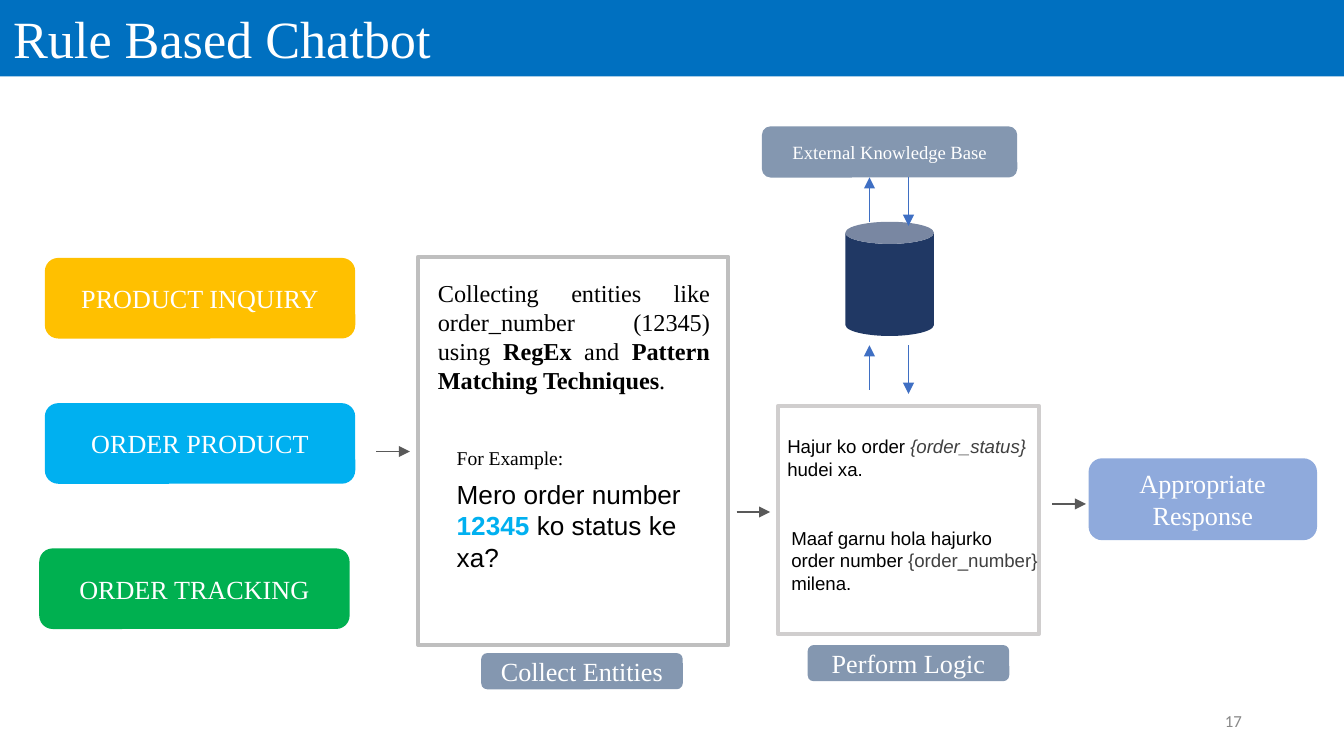
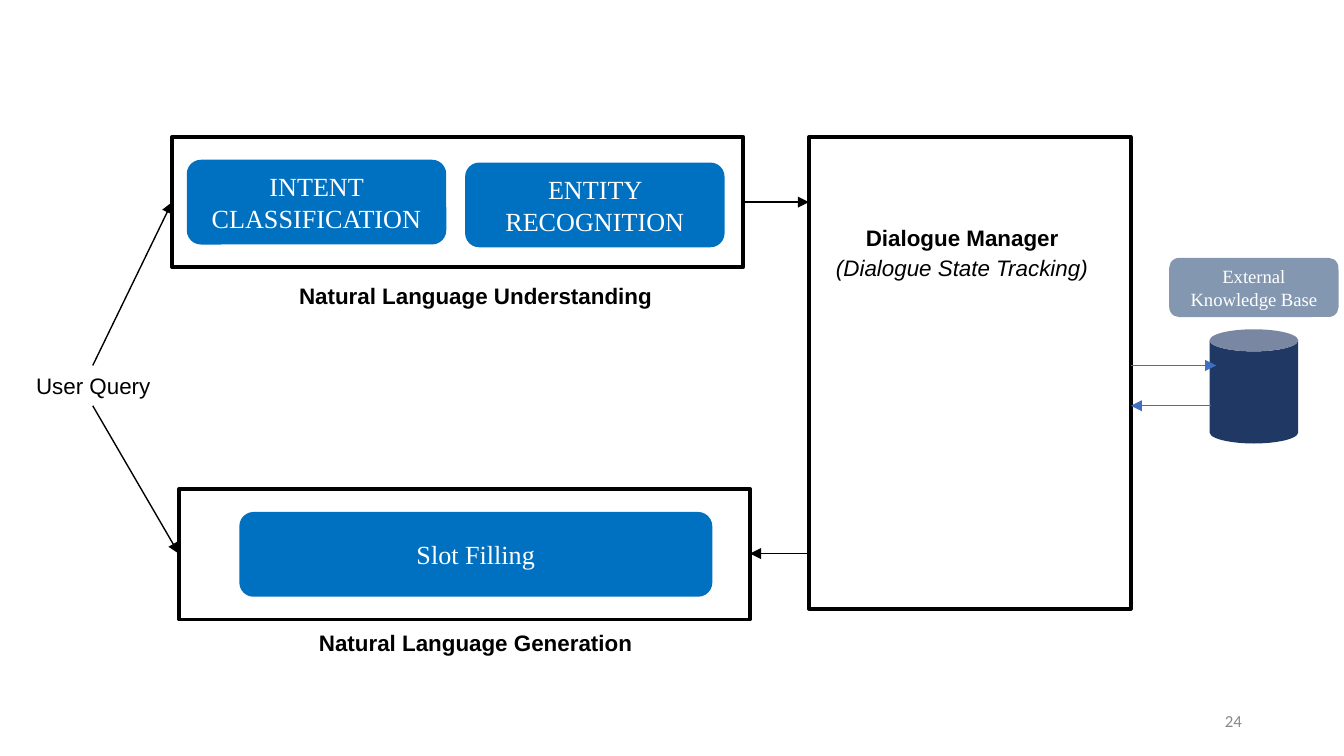
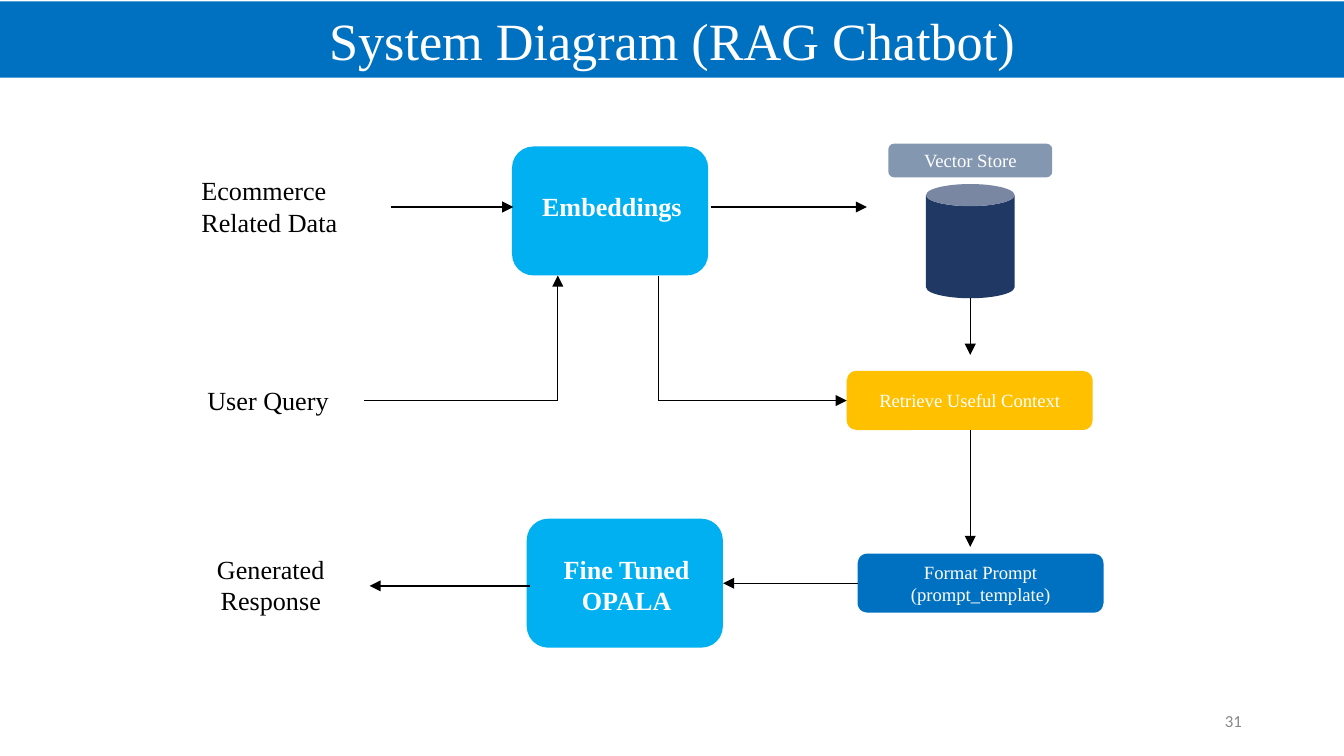
from dataclasses import dataclass

from lxml.etree import SubElement
from pptx import Presentation
from pptx.dml.color import RGBColor
from pptx.enum.shapes import MSO_CONNECTOR, MSO_SHAPE
from pptx.enum.text import MSO_ANCHOR, MSO_AUTO_SIZE, PP_ALIGN
from pptx.oxml.ns import qn
from pptx.util import Pt

WHITE = RGBColor(0xFF, 0xFF, 0xFF)
BLACK = RGBColor(0x00, 0x00, 0x00)
BLUE = RGBColor(0x00, 0x70, 0xC0)
SKY = RGBColor(0x00, 0xB0, 0xF0)
AMBER = RGBColor(0xFF, 0xC0, 0x00)
GREEN = RGBColor(0x00, 0xB0, 0x50)
SLATE = RGBColor(0x84, 0x97, 0xB0)
NAVY = RGBColor(0x20, 0x38, 0x64)
PERIWINKLE = RGBColor(0x8F, 0xAA, 0xDC)
STORE_BLUE = RGBColor(0x3F, 0x6F, 0xC3)
FLOW_GRAY = RGBColor(0x59, 0x59, 0x59)
SILVER = RGBColor(0xBF, 0xBF, 0xBF)
PALE_GRAY = RGBColor(0xD0, 0xCE, 0xCE)
DARK_GRAY = RGBColor(0x40, 0x40, 0x40)
NUMBER_GRAY = RGBColor(0x88, 0x88, 0x88)

SERIF = "Times New Roman"
SANS = "Arial"
CAN_WIDTH, CAN_HEIGHT = 47.5, 61.2


@dataclass
class Box:
    left: float
    top: float
    width: float
    height: float

    def inside(self, right, down, width, height):
        return Box(self.left + right, self.top + down, width, height)

    def frame(self):
        return [Pt(length) for length in (self.left, self.top, self.width, self.height)]


@dataclass
class Span:
    text: str
    bold: bool = False
    italic: bool = False
    color: RGBColor = None


def write(shape, lines, size, color, font=SERIF, align=PP_ALIGN.CENTER):
    frame = shape.text_frame
    frame.word_wrap = True
    for index, spans in enumerate(lines):
        para = frame.paragraphs[0] if index == 0 else frame.add_paragraph()
        para.alignment = align
        for span in spans:
            run = para.add_run()
            run.text = span.text
            run.font.name = font
            run.font.size = Pt(size)
            run.font.bold = span.bold
            run.font.italic = span.italic
            run.font.color.rgb = span.color or color


def add_text(page, box, lines, size, color=BLACK, font=SERIF, align=PP_ALIGN.CENTER):
    shape = page.shapes.add_textbox(*box.frame())
    write(shape, lines, size, color, font, align)
    shape.text_frame.auto_size = MSO_AUTO_SIZE.SHAPE_TO_FIT_TEXT


def add_solid(page, kind, box, fill):
    shape = page.shapes.add_shape(kind, *box.frame())
    shape.shadow.inherit = False
    shape.fill.solid()
    shape.fill.fore_color.rgb = fill
    shape.line.fill.background()
    return shape


def add_block(page, box, fill, *lines, size=14):
    shape = add_solid(page, MSO_SHAPE.ROUNDED_RECTANGLE, box, fill)
    shape.text_frame.vertical_anchor = MSO_ANCHOR.MIDDLE
    write(shape, [[Span(line)] for line in lines], size, WHITE)


def add_outline(page, box, color):
    shape = page.shapes.add_shape(MSO_SHAPE.RECTANGLE, *box.frame())
    shape.shadow.inherit = False
    shape.fill.background()
    shape.line.color.rgb = color
    shape.line.width = Pt(2)


def add_arrow(page, start, end, color=BLACK, head=True):
    ends = [Pt(length) for length in (*start, *end)]
    arrow = page.shapes.add_connector(MSO_CONNECTOR.STRAIGHT, *ends)
    arrow.line.color.rgb = color
    arrow.line.width = Pt(0.75)
    properties = arrow._element.spPr
    if head:
        SubElement(properties.find(qn("a:ln")), qn("a:tailEnd"), type="triangle")
    SubElement(properties, qn("a:effectLst"))


def add_title(page, box, title, align):
    band = add_solid(page, MSO_SHAPE.RECTANGLE, box, BLUE)
    band.text_frame.vertical_anchor = MSO_ANCHOR.TOP
    write(band, [[Span(title)]], 28, WHITE, align=align)
    band.text_frame.auto_size = MSO_AUTO_SIZE.SHAPE_TO_FIT_TEXT


def add_page_number(page, number):
    shape = page.shapes.add_textbox(*Box(508.3, 375.1, 162, 21.6).frame())
    frame = shape.text_frame
    frame.vertical_anchor = MSO_ANCHOR.MIDDLE
    frame.margin_left = frame.margin_right = Pt(5)
    frame.margin_top = frame.margin_bottom = Pt(3)
    write(shape, [[Span(str(number))]], 9, NUMBER_GRAY, "Calibri", PP_ALIGN.RIGHT)


def add_data_store(page, box, label, label_height):
    can = box.inside((box.width - CAN_WIDTH) / 2, box.height - CAN_HEIGHT, CAN_WIDTH, CAN_HEIGHT)
    add_solid(page, MSO_SHAPE.CAN, can, NAVY)
    add_block(page, box.inside(0, 0, box.width, label_height), SLATE, label, size=10)


def add_intents(page, box):
    intents = [("PRODUCT INQUIRY", AMBER, 3), ("ORDER PRODUCT", SKY, 3), ("ORDER TRACKING", GREEN, 0)]
    height = 43.2
    step = (box.height - height) / (len(intents) - 1)
    for index, (name, fill, indent) in enumerate(intents):
        add_block(page, box.inside(indent, index * step, 166.3, height), fill, name)


def add_collect_panel(page, box):
    add_outline(page, box, SILVER)
    add_block(page, box.inside(33.9, 212.4, 108, 19.4), SLATE, "Collect Entities")
    method = [
        Span("Collecting entities like order_number (12345) using "),
        Span("RegEx", bold=True),
        Span(" and "),
        Span("Pattern Matching Techniques", bold=True),
        Span(". "),
    ]
    add_text(page, box.inside(3.6, 7.9, 159.8, 70.6), [method], 13, align=PP_ALIGN.JUSTIFY)
    add_text(page, box.inside(13.7, 97.9, 80.6, 20.2), [[Span("For Example:")]], 10.5, align=PP_ALIGN.LEFT)
    example = [
        Span("Mero order number "),
        Span("12345", bold=True, color=SKY),
        Span(" ko status ke xa?"),
    ]
    add_text(page, box.inside(13.7, 115.2, 139.7, 58.3), [example], 14, font=SANS, align=PP_ALIGN.LEFT)


def add_logic_panel(page, box):
    add_outline(page, box, PALE_GRAY)
    add_block(page, box.inside(15.8, 128.2, 108, 19.4), SLATE, "Perform Logic")
    found = [
        Span("Hajur ko order "),
        Span("{order_status} ", italic=True, color=DARK_GRAY),
        Span("hudei xa."),
    ]
    missing = [
        Span("Maaf garnu hola hajurko order number "),
        Span("{order_number} ", color=DARK_GRAY),
        Span("milena."),
    ]
    for reply, right, down, height in ((found, -2.2, 12.3, 31.7), (missing, 0, 61.2, 43.9)):
        add_text(page, box.inside(right, down, 146.9, height), [reply], 10, font=SANS, align=PP_ALIGN.LEFT)


def add_module(page, box, blocks, caption, caption_offset):
    add_outline(page, box, BLACK)
    for name, right, down, width in blocks:
        add_block(page, box.inside(right, down, width, 45.4), BLUE, name)
    add_text(page, box.inside(*caption_offset, 223.2, 21.6), [[Span(caption, bold=True)]], 12, font=SANS)


def add_dialogue_manager(page, box):
    add_outline(page, box, BLACK)
    name = [Span("Dialogue Manager", bold=True)]
    role = [Span("(Dialogue State Tracking)", italic=True)]
    add_text(page, box.inside(18, 43.2, 128.2, 21.6), [name], 12, font=SANS)
    add_text(page, box.inside(5, 59, 154.1, 21.6), [role], 12, font=SANS)


def add_model(page, box, lines, label_top, label_height):
    add_solid(page, MSO_SHAPE.ROUNDED_RECTANGLE, box, SKY)
    label = box.inside(1, label_top, box.width, label_height)
    add_text(page, label, [[Span(line, bold=True)] for line in lines], 14, WHITE)


def build_rule_based(page):
    add_title(page, Box(0, 0, 720, 41), "Rule Based Chatbot", PP_ALIGN.LEFT)
    add_intents(page, Box(21, 138.2, 169.3, 198.8))
    add_collect_panel(page, Box(223.9, 137.5, 166.3, 208.1))
    add_logic_panel(page, Box(416.9, 217.4, 139.7, 122.4))
    add_data_store(page, Box(408.2, 67.7, 136.8, 112.3), "External Knowledge Base", 27.4)
    for top in (95, 185):
        add_arrow(page, (465.8, top + 23.8), (465.8, top), STORE_BLUE)
        add_arrow(page, (486.7, top), (486.7, top + 26), STORE_BLUE)
    for left, top in ((201.6, 241.9), (394.6, 274.3), (563.8, 270)):
        add_arrow(page, (left, top), (left + 18, top), FLOW_GRAY)
    add_block(page, Box(583.2, 245.5, 122.4, 43.9), PERIWINKLE, "Appropriate Response")
    add_page_number(page, 17)


def build_dialogue_system(page):
    add_text(page, Box(7.9, 195.8, 84.2, 21.6), [[Span("User Query")]], 12, font=SANS)
    understanding = [("INTENT CLASSIFICATION", 7.9, 12.2, 139), ("ENTITY RECOGNITION", 157, 13.7, 139)]
    add_module(page, Box(92.2, 73.4, 306, 69.8), understanding, "Natural Language Understanding", (51.1, 74.2))
    generation = [("Slot Filling", 32.4, 12.2, 253.4)]
    add_module(page, Box(95.8, 262.1, 306, 69.8), generation, "Natural Language Generation", (47.5, 71.3))
    add_dialogue_manager(page, Box(433.4, 73.4, 172.4, 252.7))
    add_data_store(page, Box(626.4, 138.2, 90.7, 99.4), "External Knowledge Base", 31.7)
    add_arrow(page, (605.8, 195.8), (651.6, 195.8), STORE_BLUE)
    add_arrow(page, (648.7, 217.4), (605.8, 217.4), STORE_BLUE)
    add_arrow(page, (49.7, 195.8), (92.2, 108.3))
    add_arrow(page, (49.7, 217.4), (95.8, 296.6))
    add_arrow(page, (398.2, 108.3), (433.4, 108.3))
    add_arrow(page, (433.4, 296.6), (401.8, 296.6))
    add_page_number(page, 24)


def build_rag_system(page):
    add_title(page, Box(0, 0.7, 720, 41), "System Diagram (RAG Chatbot)", PP_ALIGN.CENTER)
    add_text(page, Box(100.8, 90, 108.7, 41), [[Span("Ecommerce Related Data")]], 14, align=PP_ALIGN.LEFT)
    add_text(page, Box(89.3, 202.3, 108.7, 24.5), [[Span("User Query")]], 14)
    add_text(page, Box(90.7, 293, 108.7, 41), [[Span("Generated Response")]], 14)
    add_data_store(page, Box(475.9, 77, 87.8, 82.8), "Vector Store", 18)
    add_model(page, Box(274.3, 78.5, 105.1, 69.1), ["Embeddings"], 20.2, 24.5)
    add_model(page, Box(282.2, 277.9, 105.1, 69.1), ["Fine Tuned", "OPALA"], 15.1, 41)
    add_block(page, Box(453.6, 198.7, 131.8, 31.7), AMBER, "Retrieve Useful Context", size=10)
    add_block(page, Box(459.4, 296.6, 131.8, 31.7), BLUE, "Format Prompt", "(prompt_template)", size=10)
    add_arrow(page, (209.5, 110.9), (275, 110.9))
    add_arrow(page, (380.9, 110.9), (464.4, 110.9))
    add_arrow(page, (195.1, 214.6), (298.8, 214.6), head=False)
    add_arrow(page, (298.8, 214.6), (298.8, 147.6))
    add_arrow(page, (352.8, 147.6), (352.8, 214.6), head=False)
    add_arrow(page, (352.8, 214.6), (453.6, 214.6))
    add_arrow(page, (519.8, 159.8), (519.8, 190.1))
    add_arrow(page, (519.8, 230.4), (519.8, 293))
    add_arrow(page, (459.4, 312.5), (387.4, 312.5))
    add_arrow(page, (283.7, 313.9), (198, 313.9))
    add_page_number(page, 31)


def main():
    deck = Presentation()
    deck.slide_width = Pt(720)
    deck.slide_height = Pt(405)
    for build in (build_rule_based, build_dialogue_system, build_rag_system):
        build(deck.slides.add_slide(deck.slide_layouts[6]))
    deck.save("out.pptx")


if __name__ == "__main__":
    main()
